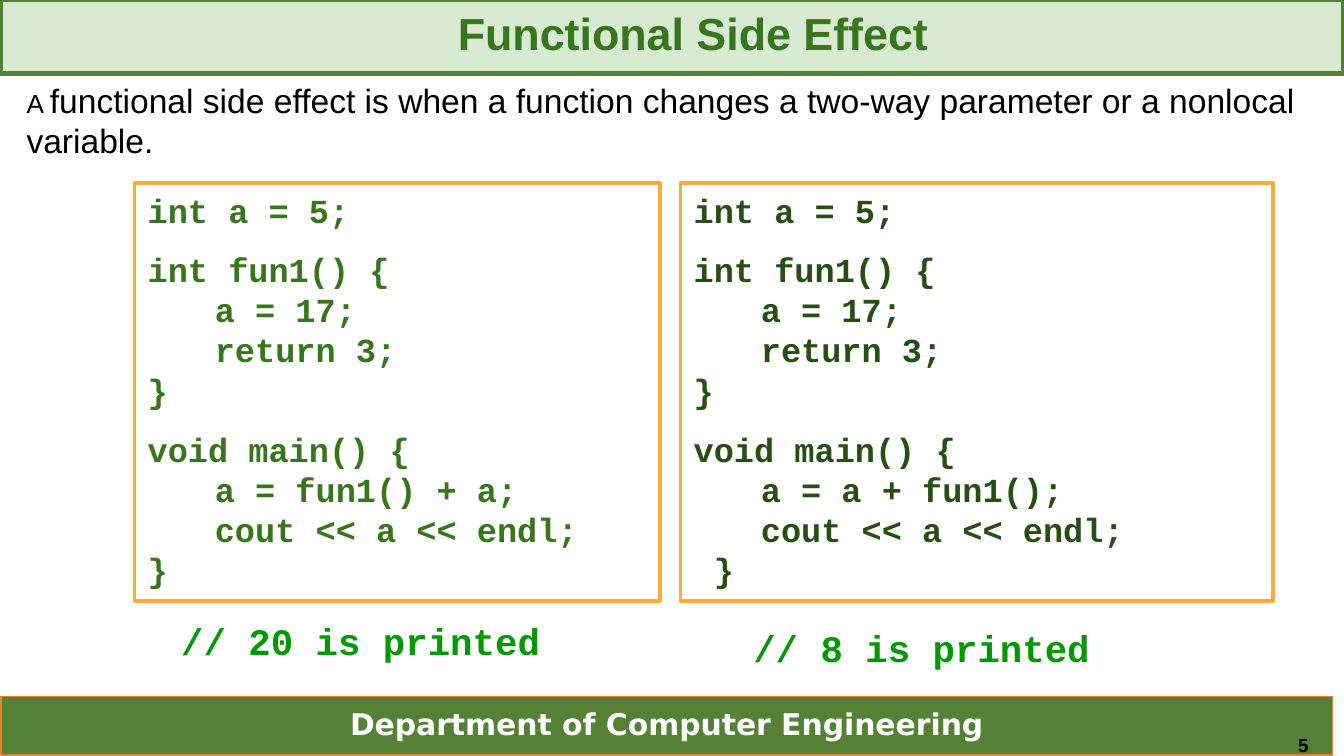
from pptx import Presentation
from pptx.dml.color import RGBColor
from pptx.enum.shapes import MSO_SHAPE
from pptx.enum.text import MSO_ANCHOR, MSO_AUTO_SIZE, PP_ALIGN
from pptx.oxml.ns import qn
from pptx.util import Pt

RECTANGLE = MSO_SHAPE.RECTANGLE
TOP, MIDDLE = MSO_ANCHOR.TOP, MSO_ANCHOR.MIDDLE
LEFT, CENTER, RIGHT = PP_ALIGN.LEFT, PP_ALIGN.CENTER, PP_ALIGN.RIGHT
NO_AUTOFIT = MSO_AUTO_SIZE.NONE

TITLE_AND_CONTENT = 1
SANS, MONO, FOOTER_FONT = "Arial", "Courier New", "DejaVu Sans"
BAR_GREEN, RESULT_GREEN = "548135", "009900"

# Each "\v" is a line break inside a paragraph.
CODE = (
    "int a = 5;\n"
    "int fun1() {{\v\ta = 17;\v\treturn 3;\v}}\n"
    "void main() {{\v\ta = {expression};\v\tcout << a << endl;\v{closing}"
)


def color(hex_string):
    return RGBColor.from_string(hex_string)


def place(shape, box):
    shape.left, shape.top, shape.width, shape.height = map(Pt, box)


def paint(shape, fill, line, line_width):
    shape.fill.solid()
    shape.fill.fore_color.rgb = color(fill)
    shape.line.color.rgb = color(line)
    shape.line.width = Pt(line_width)


def write(shape, text, size, font_name, font_color, bold=True,
          align=LEFT, anchor=TOP, vertical_inset=3.6):
    """Fill a shape with uniformly formatted text."""
    frame = shape.text_frame
    frame.text = text
    frame.word_wrap = True
    frame.auto_size = NO_AUTOFIT
    frame.vertical_anchor = anchor
    frame.margin_left = frame.margin_right = Pt(7.2)
    frame.margin_top = frame.margin_bottom = Pt(vertical_inset)
    for paragraph in frame.paragraphs:
        paragraph.alignment = align
        paragraph.space_before = Pt(0)
        for run in paragraph.runs:
            run.font.size = Pt(size)
            run.font.name = font_name
            run.font.bold = bold
            run.font.color.rgb = color(font_color)
    return frame


def add_rectangle(slide, box, fill, line, line_width):
    shape = slide.shapes.add_shape(RECTANGLE, *map(Pt, box))
    shape.shadow.inherit = False
    paint(shape, fill, line, line_width)
    return shape


def add_footer(slide, box):
    bar = add_rectangle(slide, box, BAR_GREEN, "ED7D31", 0.75)
    frame = write(bar, "Department of Computer Engineering", 16, FOOTER_FONT,
                  "FFFFFF", align=CENTER, anchor=MIDDLE)
    frame.paragraphs[0].line_spacing = 0.9


def add_page_number(slide, box):
    text_box = slide.shapes.add_textbox(*map(Pt, box))
    write(text_box, "5", 10, SANS, "000000", align=RIGHT)


def add_code_panel(slide, box, code, font_color):
    panel = add_rectangle(slide, box, "FFFFFF", "FFAB40", 2)
    frame = write(panel, code, 18, MONO, font_color)
    for paragraph in frame.paragraphs[1:]:
        paragraph.space_before = Pt(10)


def add_result(slide, box, text, vertical_inset):
    text_box = slide.shapes.add_textbox(*map(Pt, box))
    write(text_box, text, 20, MONO, RESULT_GREEN, vertical_inset=vertical_inset)


def set_definition(body, box):
    place(body, box)
    frame = write(body, "A ", 14, SANS, "000000", bold=False)
    paragraph = frame.paragraphs[0]
    run = paragraph.add_run()
    run.text = ("functional side effect is when a function changes "
                "a two-way parameter or a nonlocal variable.")
    run.font.size = Pt(18)
    run.font.name = SANS
    run.font.color.rgb = color("000000")
    properties = paragraph._p.get_or_add_pPr()
    properties.set("marL", "0")
    properties.set("indent", "0")
    properties.append(properties.makeelement(qn("a:buNone"), {}))


def set_title(title, box):
    place(title, box)
    paint(title, "D9EAD3", BAR_GREEN, 3)
    frame = write(title, "Functional Side Effect", 24, SANS, "38761D",
                  align=CENTER, anchor=MIDDLE, vertical_inset=7.2)
    paragraph = frame.paragraphs[0]
    paragraph.line_spacing = 0.9
    paragraph.space_before = Pt(6)
    paragraph._p.get_or_add_pPr().set("marL", str(Pt(22.5)))


def main():
    presentation = Presentation()
    presentation.slide_width = Pt(720)
    presentation.slide_height = Pt(405)
    layout = presentation.slide_layouts[TITLE_AND_CONTENT]
    slide = presentation.slides.add_slide(layout)

    set_title(slide.shapes.title, (0, -0.5, 720, 40))
    set_definition(slide.placeholders[1], (7, 39, 713, 51))

    add_code_panel(slide, (72, 98, 281.5, 224),
                   CODE.format(expression="fun1() + a", closing="}"), "38761D")
    add_code_panel(slide, (364.5, 98, 317.5, 224),
                   CODE.format(expression="a + fun1()", closing=" }"), "274E13")
    add_result(slide, (90, 327.5, 246, 32), "// 20 is printed", 3.6)
    add_result(slide, (396.5, 327.5, 236, 39), "// 8 is printed", 7.2)

    add_footer(slide, (0.5, 373, 713.5, 31.5))
    add_page_number(slide, (558, 389.5, 150, 15.5))
    presentation.save("out.pptx")


if __name__ == "__main__":
    main()
